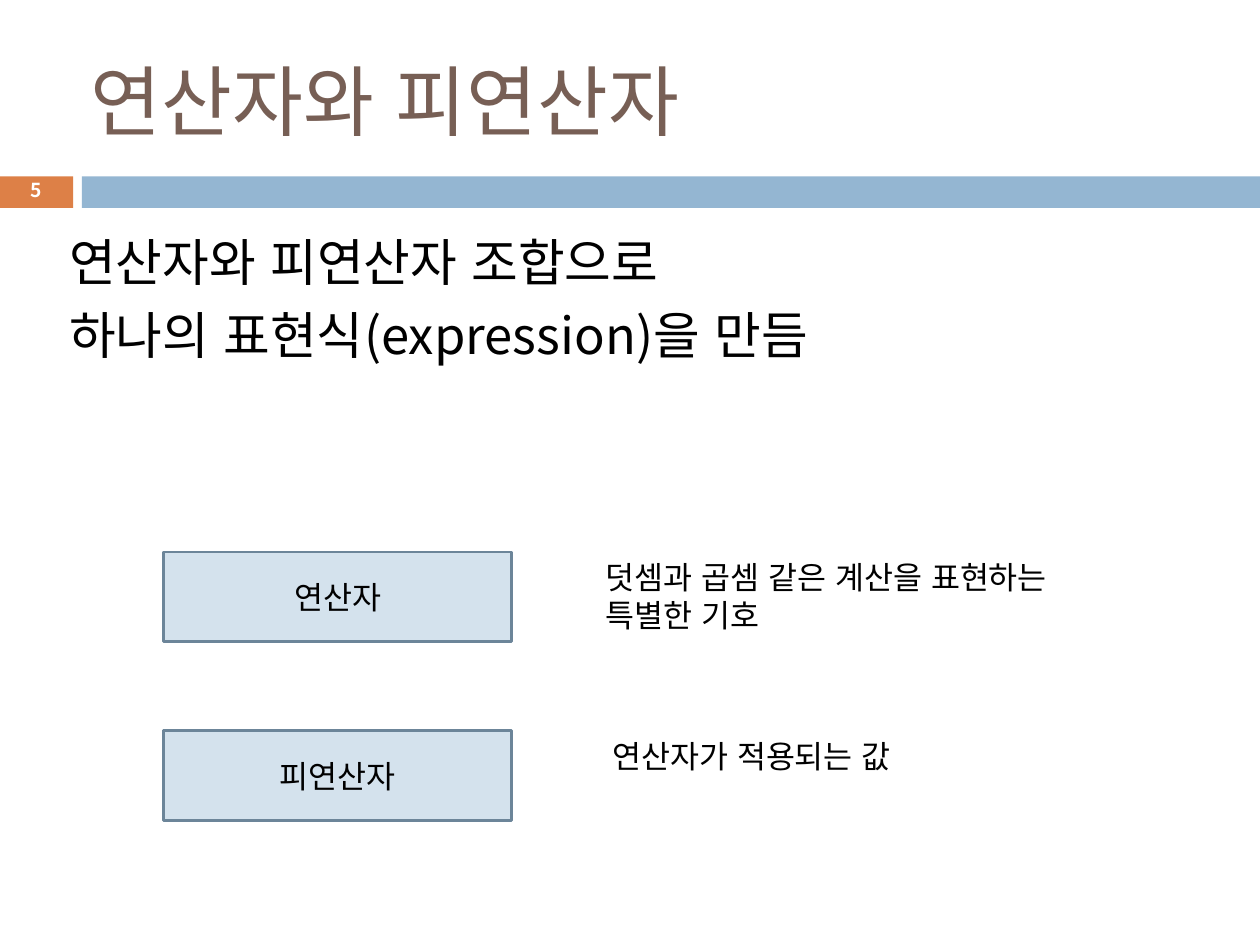
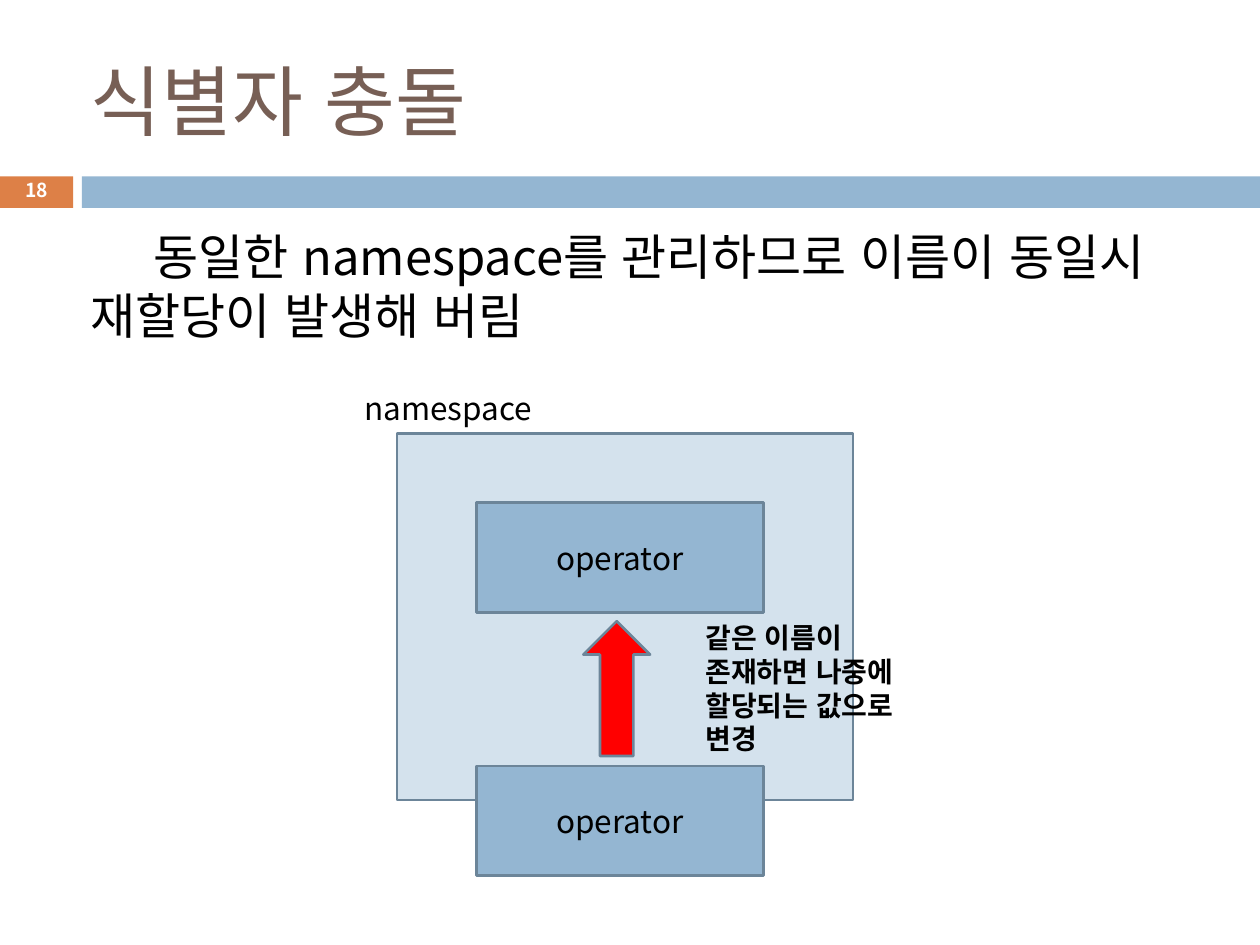
"""Builds two slides on operators, operands and identifier collisions."""
from lxml import etree
from pptx import Presentation
from pptx.dml.color import RGBColor
from pptx.enum.lang import MSO_LANGUAGE_ID
from pptx.enum.shapes import MSO_SHAPE
from pptx.enum.text import MSO_ANCHOR, PP_ALIGN
from pptx.oxml.ns import qn
from pptx.util import Inches, Pt

RECTANGLE, ARROW = MSO_SHAPE.RECTANGLE, MSO_SHAPE.RIGHT_ARROW
LEFT, CENTER = PP_ALIGN.LEFT, PP_ALIGN.CENTER
TOP, MIDDLE = MSO_ANCHOR.TOP, MSO_ANCHOR.MIDDLE
KOREAN = MSO_LANGUAGE_ID.KOREAN

FONT = "Noto Sans CJK KR"
BLACK = RGBColor(0x00, 0x00, 0x00)
WHITE = RGBColor(0xFF, 0xFF, 0xFF)
BROWN = RGBColor(0x77, 0x5F, 0x55)
ORANGE = RGBColor(0xDD, 0x80, 0x47)
BLUE = RGBColor(0x94, 0xB6, 0xD2)
PALE_BLUE = RGBColor(0xD4, 0xE2, 0xED)
SLATE = RGBColor(0x6C, 0x85, 0x99)
RED = RGBColor(0xFF, 0x00, 0x00)

deck = Presentation()
deck.slide_width, deck.slide_height = Inches(10), Inches(7.5)
COL, ROW = deck.slide_width / 100, deck.slide_height / 75
BLANK = deck.slide_layouts[6]


def write(holder, lines, size=18, color=BLACK, bold=False, align=LEFT,
          anchor=TOP, wrap=True, gap=0, spacing=None):
    """Fill a shape or text box with one paragraph per line."""
    frame = holder.text_frame
    margins = dict.fromkeys(("margin_left", "margin_top", "margin_right", "margin_bottom"),
                            Inches(0.05))
    for name, value in {**margins, "word_wrap": wrap, "vertical_anchor": anchor}.items():
        setattr(frame, name, value)
    for index, line in enumerate(lines):
        paragraph = frame.paragraphs[0] if index == 0 else frame.add_paragraph()
        paragraph.alignment = align
        if index:
            paragraph.space_before = Pt(gap)
        if spacing:
            paragraph.line_spacing = spacing
        run = paragraph.add_run()
        run.text = line
        run.font.color.rgb = color
        styles = {"name": FONT, "size": Pt(size), "bold": bold, "language_id": KOREAN}
        for name, value in styles.items():
            setattr(run.font, name, value)
        etree.SubElement(run.font._element, qn("a:ea"), typeface=FONT)


def add(slide, at, kind=None, fill=None, line=None, lines=(), **style):
    """Add a shape, or a text box when no kind is given, at grid columns and rows."""
    left, top, width, height = at
    box = [round(length) for length in (left * COL, top * ROW, width * COL, height * ROW)]
    if kind is None:
        item = slide.shapes.add_textbox(*box)
    else:
        item = slide.shapes.add_shape(kind, *box)
        item.shadow.inherit = False
        item.fill.solid()
        item.fill.fore_color.rgb = fill
        if line is None:
            item.line.fill.background()
        else:
            item.line.color.rgb = line
            item.line.width = Pt(1.5)
    if lines:
        write(item, lines, **style)
    return item


TAB_WIDTH, BAND_LEFT, BAND_TOP, BAND_HEIGHT = 5.8, 6.5, 14, 2.5
NUMBER_WIDTH = 3
slides = []
for title, number in (("연산자와 피연산자", "5"), ("식별자 충돌", "18")):
    slide = deck.slides.add_slide(BLANK)
    add(slide, (0, BAND_TOP, TAB_WIDTH, BAND_HEIGHT), RECTANGLE, ORANGE)
    add(slide, (BAND_LEFT, BAND_TOP, 100 - BAND_LEFT, BAND_HEIGHT), RECTANGLE, BLUE)
    add(slide, (6.7, 2.5, 89.2, 10.8), lines=[title], size=44, color=BROWN, anchor=MIDDLE)
    add(slide, ((TAB_WIDTH - NUMBER_WIDTH) / 2, 13.7, NUMBER_WIDTH, 3), lines=[number],
        size=11, color=WHITE, bold=True, align=CENTER, anchor=MIDDLE, wrap=False, spacing=0.8)
    slides.append(slide)
operands, collision = slides

add(operands, (5, 17.8, 90, 13), size=29, gap=7,
    lines=["연산자와 피연산자 조합으로", "하나의 표현식(expression)을 만듬"])
TERMS = (
    ("연산자", "덧셈과 곱셈 같은 계산을 표현하는 특별한 기호", 47.6, 7.1),
    ("피연산자", "연산자가 적용되는 값", 48.1, 4),
)
for row, (term, meaning, meaning_left, meaning_height) in enumerate(TERMS):
    top = 43.8 + row * 14.2
    add(operands, (13, top, 27.6, 7.1), RECTANGLE, PALE_BLUE, SLATE,
        [term], align=CENTER, anchor=MIDDLE)
    add(operands, (meaning_left, top, 37, meaning_height), lines=[meaning])

statement = add(collision, (6.7, 17.5, 89.2, 12.1), size=28,
                lines=["동일한 namespace를 관리하므로 이름이 동일시 재할당이 발생해 버림"])
indents = statement.text_frame.paragraphs[0]._p.get_or_add_pPr()
indents.set("marL", "0")
indents.set("indent", str(Inches(0.5)))

add(collision, (31.5, 34.4, 36.2, 29.1), RECTANGLE, PALE_BLUE, SLATE)
add(collision, (28.4, 30.4, 23.2, 4), lines=["namespace"])
for top in (39.9, 60.8):
    add(collision, (37.8, top, 22.8, 8.7), RECTANGLE, BLUE, SLATE,
        ["operator"], align=CENTER, anchor=MIDDLE)
reassignment = add(collision, (43.6, 52, 10.7, 5.3), ARROW, RED, SLATE)
reassignment.rotation = 270
add(collision, (55.5, 48.8, 18.9, 9.4), size=16, bold=True,
    lines=["같은 이름이 존재하면 나중에 할당되는 값으로 변경"])

deck.save("out.pptx")
